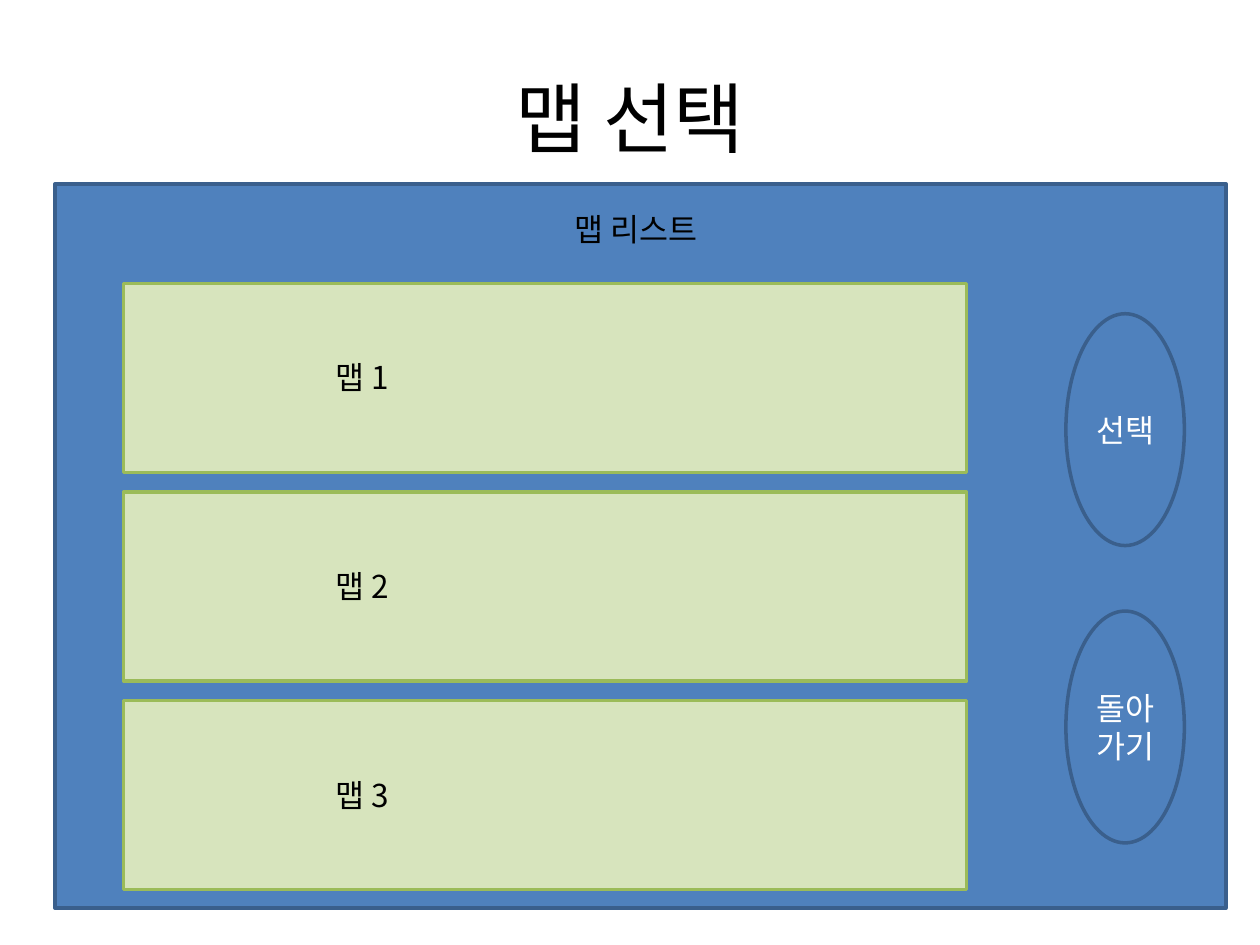
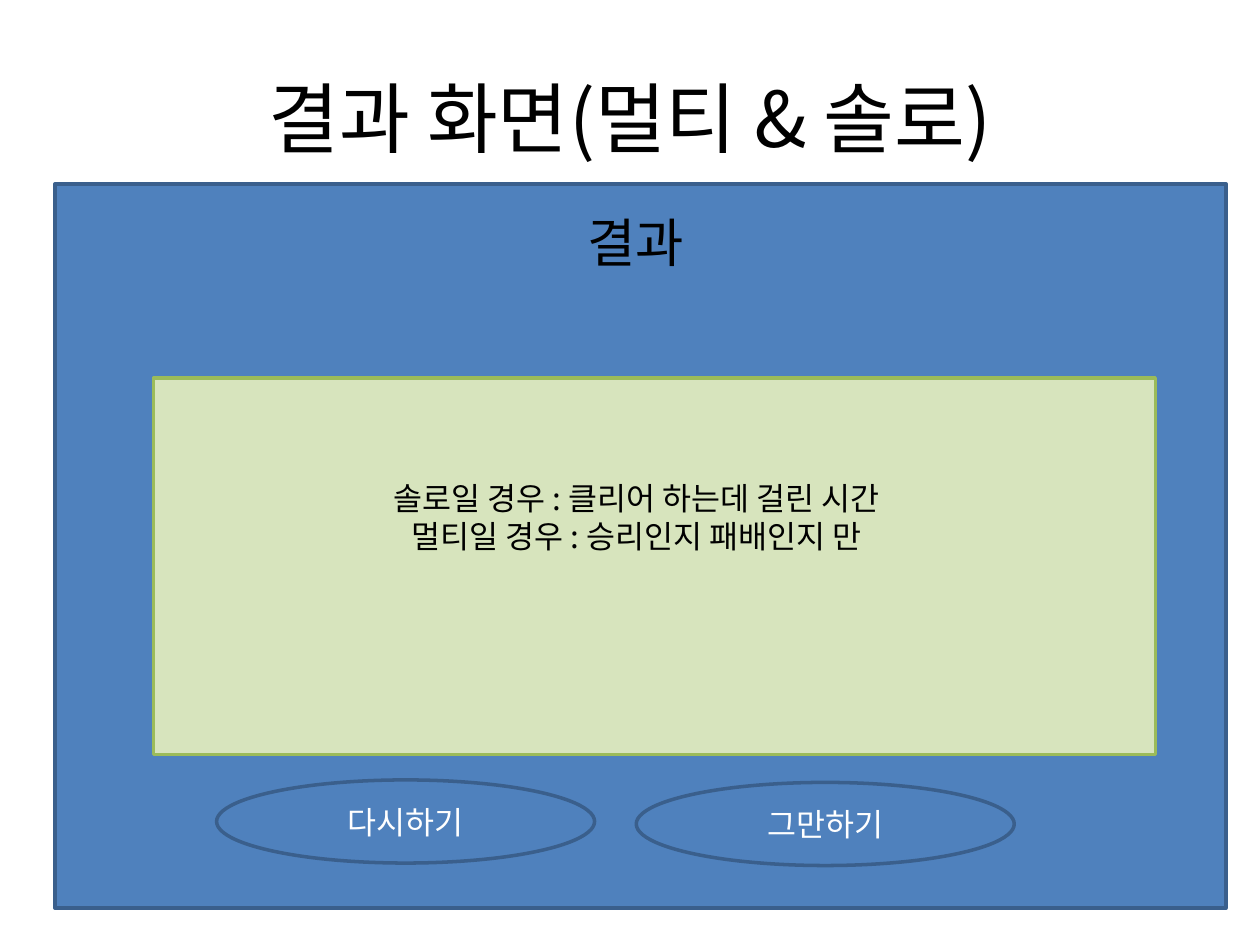
import pptx
import pptx.util
import pptx.dml.color
import pptx.enum.shapes
import pptx.enum.text
import pptx.oxml.ns
import lxml.etree

Pt = pptx.util.Pt
FONT = "Noto Sans CJK KR"
BLACK, WHITE = "000000", "FFFFFF"
BLUE, NAVY = "4F81BD", "3A5F8C"
PALE, GREEN = "D7E4BD", "9BBB59"
RECTANGLE = pptx.enum.shapes.MSO_SHAPE.RECTANGLE
OVAL = pptx.enum.shapes.MSO_SHAPE.OVAL


def color(value):
    return pptx.dml.color.RGBColor.from_string(value)


def place(box, left, top, width, height):
    box.left, box.top = Pt(left), Pt(top)
    box.width, box.height = Pt(width), Pt(height)


def write(box, lines, size, ink):
    frame = box.text_frame
    frame.word_wrap = True
    frame.text = "\n".join(lines)
    for para in frame.paragraphs:
        para.alignment = pptx.enum.text.PP_ALIGN.CENTER
        para.font.size = Pt(size)
        para.font.color.rgb = color(ink)
        para.font.name = FONT
        defaults = para._p.pPr.find(pptx.oxml.ns.qn("a:defRPr"))
        lxml.etree.SubElement(defaults, pptx.oxml.ns.qn("a:ea"), typeface=FONT)


def add_label(page, lines, left, top, width, height, size=18):
    box = page.shapes.add_textbox(Pt(left), Pt(top), Pt(width), Pt(height))
    write(box, lines, size, BLACK)


def add_block(page, kind, left, top, width, height, fill, line):
    box = page.shapes.add_shape(kind, Pt(left), Pt(top), Pt(width), Pt(height))
    box.shadow.inherit = False
    box.fill.solid()
    box.fill.fore_color.rgb = color(fill)
    box.line.color.rgb = color(line)
    box.line.width = Pt(2)
    return box


def add_card(page, left, top, width, height):
    add_block(page, RECTANGLE, left, top, width, height, PALE, GREEN)


def add_button(page, caption, left, top, width, height):
    box = add_block(page, OVAL, left, top, width, height, BLUE, NAVY)
    box.text_frame.vertical_anchor = pptx.enum.text.MSO_ANCHOR.MIDDLE
    write(box, [caption], 18, WHITE)


def add_screen(deck, title, heading, heading_size, heading_height):
    page = deck.slides.add_slide(deck.slide_layouts.get_by_name("Title Only"))
    place(page.shapes.title, 36, 21.6, 648, 90)
    write(page.shapes.title, [title], 44, BLACK)
    add_block(page, RECTANGLE, 31.5, 105, 669, 414, BLUE, NAVY)
    add_label(page, [heading], 125.3, 116.6, 476, heading_height, heading_size)
    return page


def add_map_selection(deck):
    page = add_screen(deck, "맵 선택", "맵 리스트", 18, 29)
    for index in range(3):
        top = 162 + 119.2 * index
        add_card(page, 70.6, top, 481.7, 108)
        add_label(page, [f"맵 {index + 1}"], 102.2, top + 39.3, 209.5, 29)
    for index, caption in enumerate(["선택", "돌아가기"]):
        add_button(page, caption, 609.1, 179.3 + 169.9 * index, 67.7, 132.5)


def add_result(deck):
    page = add_screen(deck, "결과 화면(멀티 & 솔로)", "결과", 30, 44)
    add_card(page, 87.8, 216, 572.4, 215.3)
    add_label(page, ["솔로일 경우 : 클리어 하는데 걸린 시간",
                     "멀티일 경우 : 승리인지 패배인지 만"], 152.6, 270, 422.6, 51)
    add_button(page, "다시하기", 123.8, 445.7, 216, 47.5)
    add_button(page, "그만하기", 363.6, 447.1, 216, 47.5)


def main():
    deck = pptx.Presentation()
    deck.slide_width, deck.slide_height = Pt(720), Pt(540)
    add_map_selection(deck)
    add_result(deck)
    deck.save("out.pptx")


main()
